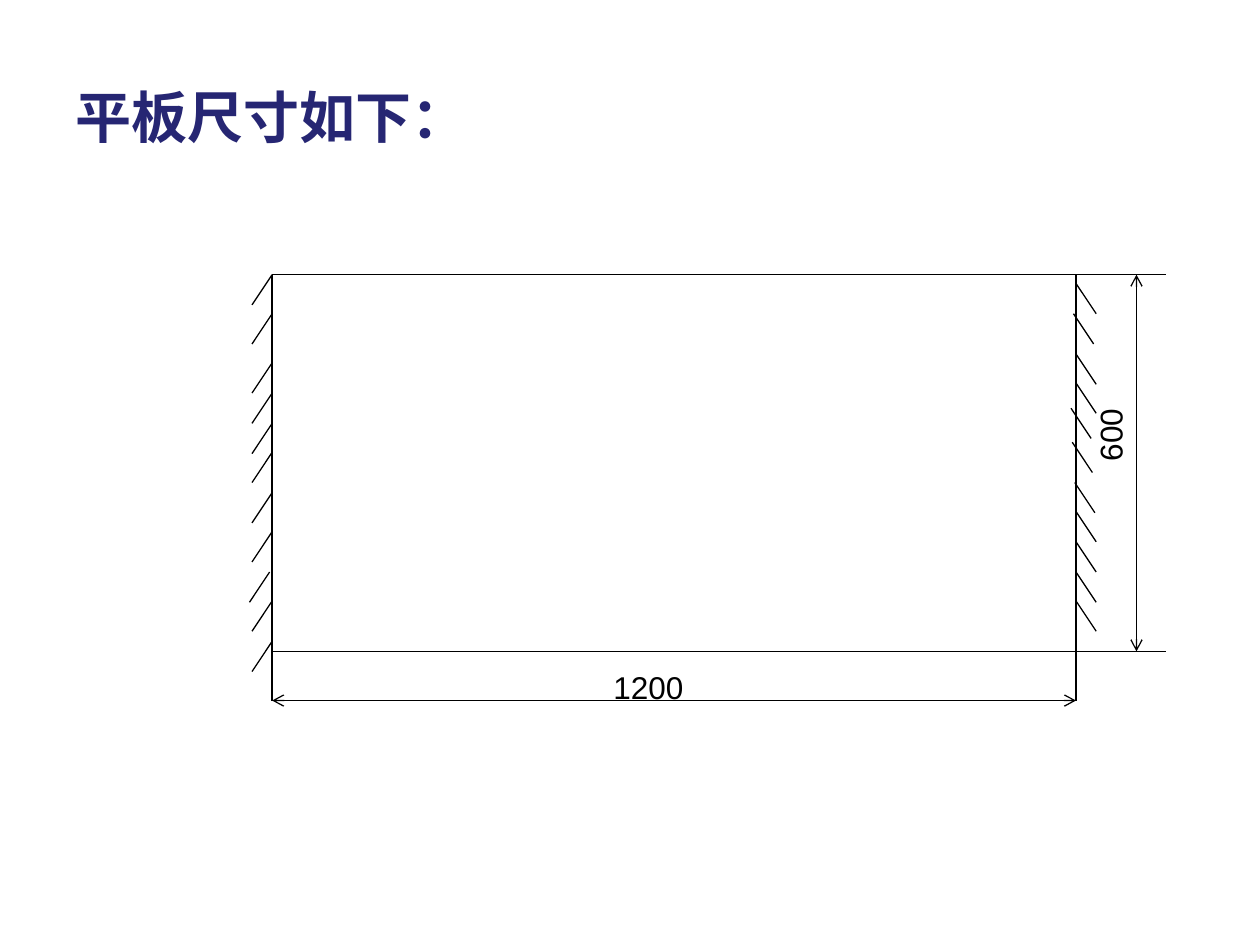
from pptx import Presentation
from pptx import util as u
from pptx.dml.color import RGBColor
from pptx.enum import shapes, text
from pptx.oxml.ns import qn
from lxml import etree

PX = 9144  # 100 px to the inch
COLORS = {"title": "262673", "ink": "000000"}
FONT = "Arial"

PLATE = (216, 218, 638, 299)  # left, top, width, height
HATCH_WIDTH, HATCH_HEIGHT = 16, 24
# Each hatch starts at (offset from the plate's edge, distance below its top).
LEFT_HATCHES = [(0, 0), (0, 31), (0, 70), (0, 94), (0, 118), (0, 141),
                (0, 173), (0, 204), (-2, 236), (0, 259), (0, 291)]
RIGHT_HATCHES = [(0, 7), (-2, 31), (0, 63), (0, 86), (-4, 106), (-3, 133),
                 (-1, 165), (0, 188), (0, 212), (0, 236), (0, 259)]


def px(value):
    return u.Emu(value * PX)


def add_line(slide, x1, y1, x2, y2, arrows=False):
    line = slide.shapes.add_connector(
        shapes.MSO_CONNECTOR.STRAIGHT, px(x1), px(y1), px(x2), px(y2))
    line.line.color.rgb = RGBColor.from_string(COLORS["ink"])
    line.line.width = u.Pt(0.75)
    properties = line._element.spPr
    if arrows:
        outline = properties.find(qn("a:ln"))
        for end in ("a:headEnd", "a:tailEnd"):
            etree.SubElement(outline, qn(end), type="arrow")
    etree.SubElement(properties, qn("a:effectLst"))


def add_run(paragraph, words, size, color, bold=False):
    run = paragraph.add_run()
    run.text = words
    run.font.name = FONT
    run.font.size = u.Pt(size)
    run.font.bold = bold
    run.font.color.rgb = RGBColor.from_string(COLORS[color])


def add_title(slide, box, words):
    title = slide.shapes.title
    title.left, title.top, title.width, title.height = map(px, box)
    title.text_frame.vertical_anchor = text.MSO_ANCHOR.MIDDLE
    paragraph = title.text_frame.paragraphs[0]
    paragraph.alignment = text.PP_ALIGN.LEFT
    add_run(paragraph, words, 32, "title", bold=True)


def add_dimension_label(slide, box, words, upward=False):
    """Place a dimension figure; an upward one reads from bottom to top."""
    label = slide.shapes.add_textbox(*map(px, box))
    frame = label.text_frame
    frame.word_wrap = True
    paragraph = frame.paragraphs[0]
    if upward:
        label.rotation = 180
        frame._txBody.bodyPr.set("vert", "eaVert")
        frame.margin_left = frame.margin_right = px(5)
        frame.margin_top = frame.margin_bottom = px(10)
        paragraph.alignment = text.PP_ALIGN.CENTER
    add_run(paragraph, words, 18, "ink")


def add_plate(slide, box):
    left, top, width, height = box
    right, bottom = left + width, top + height
    for edge in ((left, top, left, bottom), (left, bottom, right, bottom),
                 (right, top, right, bottom), (left, top, right, top)):
        add_line(slide, *edge)


def add_hatching(slide, edge, top, hatches, direction):
    """Draw a fixed support; direction is -1 for leftward and 1 for rightward."""
    for offset, drop in hatches:
        x, y = edge + offset, top + drop
        add_line(slide, x, y, x + direction * HATCH_WIDTH, y + HATCH_HEIGHT)


def add_width_dimension(slide, box, words):
    left, top, width, height = box
    right, bottom = left + width, top + height
    level = bottom + 39
    for x in (left, right):
        add_line(slide, x, bottom, x, level)
    add_line(slide, left, level, right, level, arrows=True)
    add_dimension_label(slide, (left + 261, bottom + 8, 95, 40), words)


def add_height_dimension(slide, box, words):
    left, top, width, height = box
    right, bottom = left + width, top + height
    for y in (top, bottom):
        add_line(slide, right, y, right + 71, y)
    add_line(slide, right + 48, top, right + 48, bottom, arrows=True)
    add_dimension_label(slide, (right + 7, top + 71, 50, 87), words, upward=True)


def main():
    presentation = Presentation()
    presentation.slide_width, presentation.slide_height = px(1000), px(750)
    slide = presentation.slides.add_slide(presentation.slide_layouts[5])
    left, top, width, _ = PLATE
    add_title(slide, (50, 30, 900, 125), "平板尺寸如下：")
    add_plate(slide, PLATE)
    add_hatching(slide, left, top, LEFT_HATCHES, -1)
    add_hatching(slide, left + width, top, RIGHT_HATCHES, 1)
    add_width_dimension(slide, PLATE, "1200")
    add_height_dimension(slide, PLATE, "600")
    presentation.save("out.pptx")


if __name__ == "__main__":
    main()
